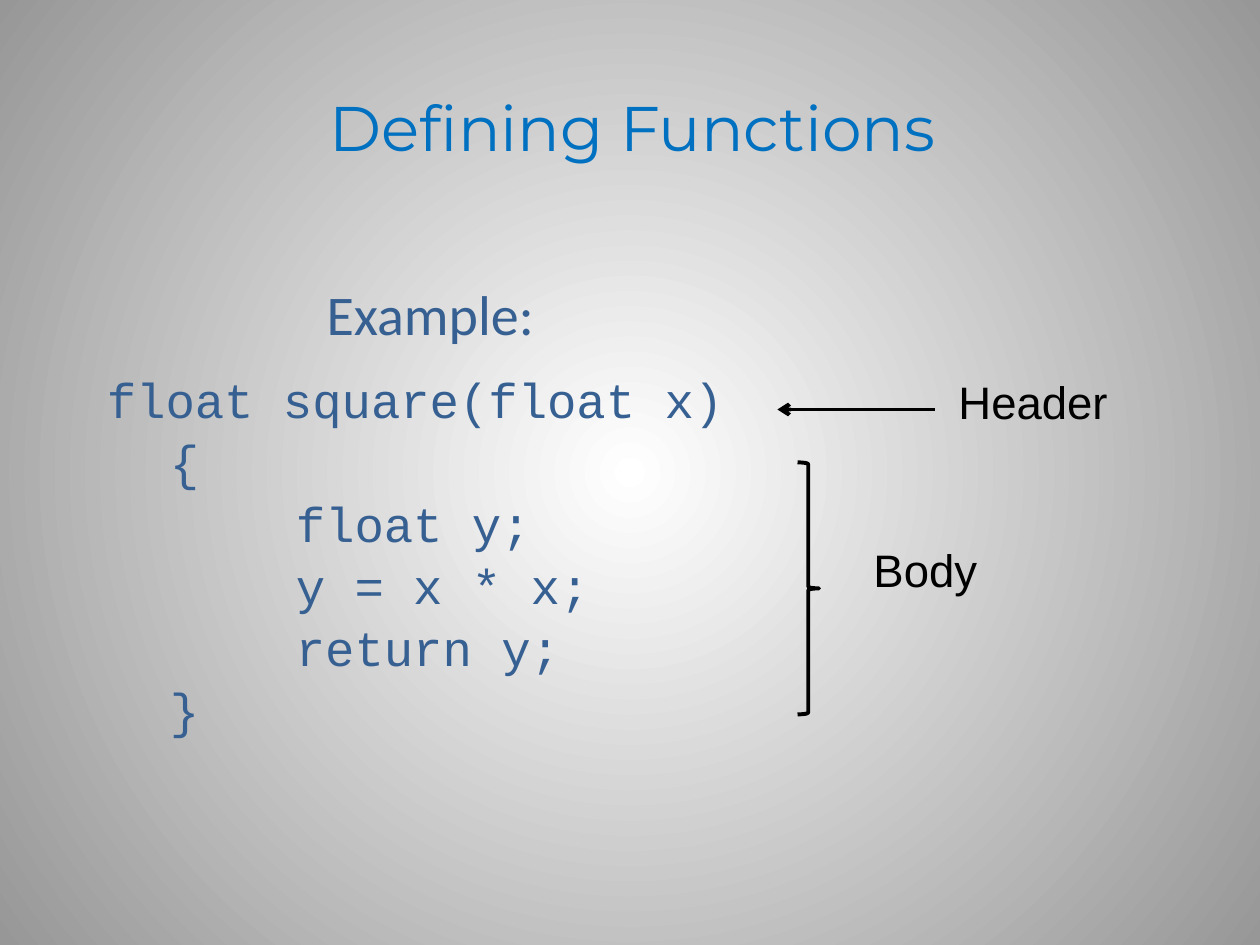
"""Build a slide that labels the parts of a function definition."""
from dataclasses import dataclass

import lxml.etree
import pptx
import pptx.dml.color
import pptx.enum.shapes
import pptx.enum.text
import pptx.oxml.ns
import pptx.util

Inches = pptx.util.Inches
Pt = pptx.util.Pt
Color = pptx.dml.color.RGBColor.from_string
Align = pptx.enum.text.PP_ALIGN
Anchor = pptx.enum.text.MSO_ANCHOR
qn = pptx.oxml.ns.qn


@dataclass(frozen=True)
class Style:
    face: str
    size: int
    color: str


@dataclass(frozen=True)
class Theme:
    title: Style = Style("Montserrat", 36, "0070C0")
    lead: Style = Style("Calibri", 32, "376092")
    code: Style = Style("Courier New", 28, "376092")
    label: Style = Style("Arial", 26, "000000")
    ink: str = "000000"
    inner: str = "FFFFFF"
    outer: str = "979797"
    stroke: float = 2.25


@dataclass(frozen=True)
class Line:
    text: str
    style: Style
    align: Align = Align.CENTER
    indent: float = 0
    before: float = 0


@dataclass(frozen=True)
class Block:
    box: tuple[float, float, float, float]
    lines: tuple[Line, ...]
    wrap: bool = True
    anchor: Anchor = Anchor.TOP


THEME = Theme()


def code(text: str, indent: float, before: float = 1.8) -> Line:
    return Line(text, THEME.code, Align.LEFT, indent, before)


def label(text: str, *box: float) -> Block:
    return Block(box, (Line(text, THEME.label),), wrap=False)


BLOCKS = (
    Block((0.53, 0.35, 8.98, 1.31), (Line("Defining Functions", THEME.title),),
          anchor=Anchor.MIDDLE),
    Block((0.75, 2.17, 5.33, 3.92), (
        Line("Example:", THEME.lead, before=6.4),
        code("float square(float x)", 0, 13),
        code("{", 0.5),
        code("float y;", 1.5),
        code("y = x * x;", 1.5),
        code("return y;", 1.5),
        code("}", 0.5),
    )),
    label("Header", 7.5, 2.92, 1.4, 0.54),
    label("Body", 6.83, 4.25, 1.03, 0.54),
)


def paint(slide) -> None:
    fill = slide.background.fill
    fill.gradient()
    for stop, color, place in zip(fill.gradient_stops, (THEME.inner, THEME.outer), (0, 1)):
        stop.color.rgb = Color(color)
        stop.position = place
    grad = slide.element.find(".//" + qn("a:gradFill"))
    grad.remove(grad.find(qn("a:lin")))
    ring = lxml.etree.SubElement(grad, qn("a:path"), path="circle")
    lxml.etree.SubElement(ring, qn("a:fillToRect"),
                          {side: "50000" for side in "ltrb"})


def write(slide, block: Block) -> None:
    frame = slide.shapes.add_textbox(*map(Inches, block.box)).text_frame
    frame.word_wrap = block.wrap
    frame.vertical_anchor = block.anchor
    if not block.wrap:
        frame.auto_size = pptx.enum.text.MSO_AUTO_SIZE.SHAPE_TO_FIT_TEXT
    for i, line in enumerate(block.lines):
        para = frame.add_paragraph() if i else frame.paragraphs[0]
        para.text = line.text
        para.alignment = line.align
        para.space_before = Pt(line.before)
        para.font.name = line.style.face
        para.font.size = Pt(line.style.size)
        para.font.color.rgb = Color(line.style.color)
        if line.indent:
            para._p.get_or_add_pPr().set("marL", str(Inches(line.indent)))


def ink(line) -> None:
    line.color.rgb = Color(THEME.ink)
    line.width = Pt(THEME.stroke)


def point(slide, start: float, end: float, top: float) -> None:
    arrow = slide.shapes.add_connector(
        pptx.enum.shapes.MSO_CONNECTOR.STRAIGHT,
        Inches(start), Inches(top), Inches(end), Inches(top))
    ink(arrow.line)
    lxml.etree.SubElement(arrow.line._get_or_add_ln(), qn("a:tailEnd"), type="arrow")
    lxml.etree.SubElement(arrow._element.spPr, qn("a:effectLst"))


def brace(slide, *box: float) -> None:
    shape = slide.shapes.add_shape(
        pptx.enum.shapes.MSO_SHAPE.RIGHT_BRACE, *map(Inches, box))
    shape.shadow.inherit = False
    shape.fill.background()
    ink(shape.line)


def main() -> None:
    deck = pptx.Presentation()
    deck.slide_width, deck.slide_height = Inches(10), Inches(7.5)
    slide = deck.slides.add_slide(deck.slide_layouts[6])
    paint(slide)
    for block in BLOCKS:
        write(slide, block)
    point(slide, 7.42, 6.17, 3.25)
    brace(slide, 6.33, 3.67, 0.17, 2)
    deck.save("out.pptx")


main()
